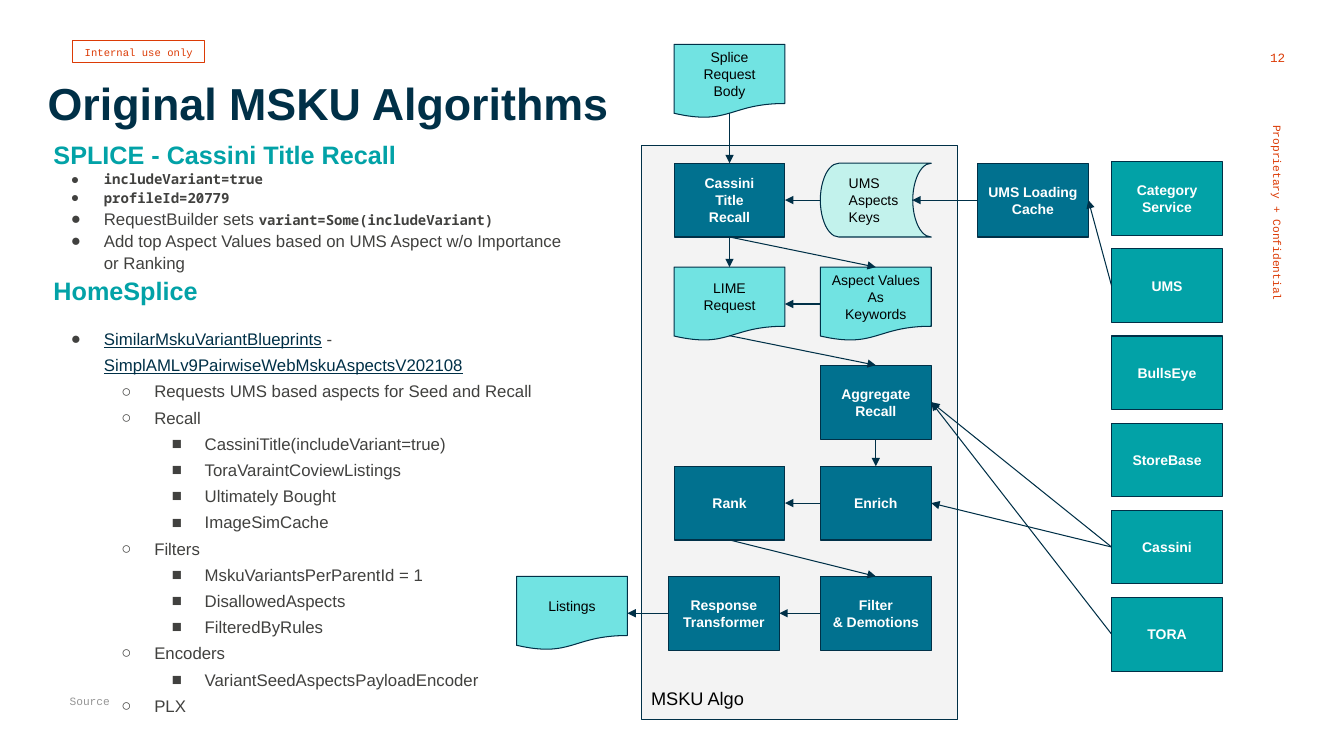
from dataclasses import dataclass

from lxml.etree import SubElement
from pptx import Presentation
from pptx.dml.color import RGBColor
from pptx.enum.shapes import MSO_CONNECTOR as Connector, MSO_SHAPE as Preset
from pptx.enum.text import MSO_ANCHOR as Anchor, MSO_AUTO_SIZE as AutoSize, PP_ALIGN as Align
from pptx.oxml.ns import qn
from pptx.util import Pt


@dataclass(frozen=True)
class Theme:
    navy: str = "003047"
    blue: str = "01718F"
    teal: str = "02A2A7"
    aqua: str = "71E3E2"
    mint: str = "C2F2EC"
    panel: str = "F3F3F3"
    white: str = "FFFFFF"
    black: str = "000000"
    grey: str = "41413F"
    pale: str = "959595"
    red: str = "DC3B06"
    sans: str = "Arial"
    typewriter: str = "Courier New"
    mono: str = "Noto Sans Mono"
    title: float = 32
    heading: float = 18
    panel_label: float = 13
    body: float = 12
    small: float = 10
    number: float = 9
    footer: float = 8
    badge: float = 7.5
    line: float = 0.75


THEME = Theme()


@dataclass(frozen=True)
class Style:
    size: float
    color: str
    name: str = THEME.sans
    bold: bool = False
    underline: bool = False


HEADING = Style(THEME.heading, THEME.teal, bold=True)
BODY = Style(THEME.body, THEME.grey)
LINK = Style(THEME.body, THEME.navy, underline=True)
CODE = Style(THEME.small, THEME.grey, THEME.mono, bold=True)
DARK_BOX = Style(THEME.small, THEME.white, bold=True)
LIGHT_BOX = Style(THEME.small, THEME.black)

BOX_WIDTH, BOX_HEIGHT = 79.2, 52.7
TOP, LEFT, BOTTOM, RIGHT = range(4)
BULLETS = "●○■"

# level (None for a heading), line spacing, space before, spans
OUTLINE = [
    (None, 1.1, 0, [("SPLICE - Cassini Title Recall", HEADING)]),
    (0, 1.1, 0, [("includeVariant=true", CODE)]),
    (0, 1.1, 0, [("profileId=20779", CODE)]),
    (0, 1.1, 0, [("RequestBuilder sets ", BODY), ("variant=Some(includeVariant)", CODE)]),
    (0, 1.1, 0, [("Add top Aspect Values based on UMS Aspect w/o Importance or Ranking", BODY)]),
    (None, 1.1, 0, [("HomeSplice", HEADING)]),
    (0, 1.3, 12, [("SimilarMskuVariantBlueprints", LINK), (" - ", BODY),
                  ("SimplAMLv9PairwiseWebMskuAspectsV202108", LINK)]),
] + [(level, 1.3, 0, [(words, BODY)]) for level, words in [
    (1, "Requests UMS based aspects for Seed and Recall"),
    (1, "Recall"),
    (2, "CassiniTitle(includeVariant=true)"),
    (2, "ToraVaraintCoviewListings"),
    (2, "Ultimately Bought"),
    (2, "ImageSimCache"),
    (1, "Filters"),
    (2, "MskuVariantsPerParentId = 1"),
    (2, "DisallowedAspects"),
    (2, "FilteredByRules"),
    (1, "Encoders"),
    (2, "VariantSeedAspectsPayloadEncoder"),
    (1, "PLX"),
]]

# name: left, top, lines
STEPS = {
    "recall": (481.5, 116.6, ["Cassini", "Title", "Recall"]),
    "cache": (698.2, 116.6, ["UMS Loading", "Cache"]),
    "aggregate": (586, 260.9, ["Aggregate", "Recall"]),
    "rank": (481.5, 333, ["Rank"]),
    "enrich": (586, 333, ["Enrich"]),
    "response": (477.5, 411.7, ["Response", "Transformer"]),
    "filter": (586, 411.7, ["Filter", "& Demotions"]),
}
DOCUMENTS = {
    "body": (481.5, 31.7, ["Splice", "Request", "Body"]),
    "lime": (481.5, 190.8, ["LIME", "Request"]),
    "keywords": (586, 190.8, ["Aspect Values", "As", "Keywords"]),
    "listings": (369, 411.7, ["Listings"]),
}
SERVICES = ["Category\nService", "UMS", "BullsEye", "StoreBase", "Cassini", "TORA"]
ARROWS = [
    ("body", BOTTOM, "recall", TOP), ("cache", LEFT, "keys", RIGHT),
    ("keys", LEFT, "recall", RIGHT), ("recall", BOTTOM, "lime", TOP),
    ("recall", BOTTOM, "keywords", TOP), ("keywords", LEFT, "lime", RIGHT),
    ("lime", BOTTOM, "aggregate", TOP), ("aggregate", BOTTOM, "enrich", TOP),
    ("enrich", LEFT, "rank", RIGHT), ("rank", BOTTOM, "filter", TOP),
    ("filter", LEFT, "response", RIGHT), ("response", LEFT, "listings", RIGHT),
    ("UMS", LEFT, "cache", RIGHT), ("Cassini", LEFT, "aggregate", RIGHT),
    ("Cassini", LEFT, "enrich", RIGHT), ("TORA", LEFT, "aggregate", RIGHT),
]


def set_font(font, style):
    font.name, font.size = style.name, Pt(style.size)
    font.bold, font.underline = style.bold, style.underline
    font.color.rgb = RGBColor.from_string(style.color)


def set_frame(frame, anchor, insets):
    frame.word_wrap, frame.auto_size, frame.vertical_anchor = True, AutoSize.NONE, anchor
    (frame.margin_left, frame.margin_top,
     frame.margin_right, frame.margin_bottom) = map(Pt, insets)


def write_lines(frame, lines, style, align=Align.LEFT):
    for index, words in enumerate(lines):
        para = frame.add_paragraph() if index else frame.paragraphs[0]
        para.text, para.alignment = words, align
        set_font(para.font, style)


def add_text(page, place, words, style, anchor=Anchor.TOP, insets=(0, 0, 0, 0)):
    box = page.shapes.add_textbox(*map(Pt, place))
    set_frame(box.text_frame, anchor, insets)
    write_lines(box.text_frame, [words], style)
    return box


def add_box(page, preset, place, fill, lines, style, align=Align.CENTER,
            anchor=Anchor.MIDDLE, border=THEME.navy):
    box = page.shapes.add_shape(preset, *map(Pt, place))
    box.shadow.inherit = False
    if fill:
        box.fill.solid()
        box.fill.fore_color.rgb = RGBColor.from_string(fill)
    else:
        box.fill.background()
    box.line.color.rgb = RGBColor.from_string(border)
    box.line.width = Pt(THEME.line)
    set_frame(box.text_frame, anchor, (7.2,) * 4)
    write_lines(box.text_frame, lines, style, align)
    return box


def add_bullet(para, level):
    properties = para._p.get_or_add_pPr()
    properties.set("marL", str(Pt(36 * (level + 1))))
    properties.set("indent", str(Pt(-23.5)))
    color = SubElement(properties, qn("a:buClr"))
    SubElement(color, qn("a:srgbClr"), val=THEME.grey)
    SubElement(properties, qn("a:buFont"), typeface=THEME.sans)
    SubElement(properties, qn("a:buChar"), char=BULLETS[level])


def add_outline(page, place):
    box = page.shapes.add_textbox(*map(Pt, place))
    frame = box.text_frame
    set_frame(frame, Anchor.TOP, (0, 0, 0, 0))
    for index, (level, spacing, before, spans) in enumerate(OUTLINE):
        para = frame.add_paragraph() if index else frame.paragraphs[0]
        para.line_spacing, para.space_before = spacing, Pt(before)
        if level is not None:
            para.level = level
            add_bullet(para, level)
        for words, style in spans:
            span = para.add_run()
            span.text = words
            set_font(span.font if len(spans) > 1 else para.font, style)


def side_point(box, side):
    """Give the point where an arrow meets the visible outline."""
    bottom = 0.93 if box.auto_shape_type == Preset.FLOWCHART_DOCUMENT else 1
    right = 0.83 if box.auto_shape_type == Preset.FLOWCHART_STORED_DATA else 1
    across, down = [(0.5, 0), (0, 0.5), (0.5, bottom), (right, 0.5)][side]
    return int(box.left + across * box.width), int(box.top + down * box.height)


def add_arrow(page, start, start_side, end, end_side):
    arrow = page.shapes.add_connector(Connector.STRAIGHT, 0, 0, 0, 0)
    arrow.begin_connect(start, start_side)
    arrow.end_connect(end, end_side)
    arrow.begin_x, arrow.begin_y = side_point(start, start_side)
    arrow.end_x, arrow.end_y = side_point(end, end_side)
    arrow.line.color.rgb = RGBColor.from_string(THEME.navy)
    arrow.line.width = Pt(THEME.line)
    SubElement(arrow.line._get_or_add_ln(), qn("a:tailEnd"), type="triangle")
    SubElement(arrow._element.spPr, qn("a:effectLst"))


def add_flow(page):
    size = (BOX_WIDTH, BOX_HEIGHT)
    boxes = {"keys": add_box(page, Preset.FLOWCHART_STORED_DATA, (586, 116.6, *size), THEME.mint,
                             ["UMS", "Aspects", "Keys"], LIGHT_BOX, Align.LEFT)}
    for name, (left, top, lines) in STEPS.items():
        boxes[name] = add_box(page, Preset.FLOWCHART_PROCESS, (left, top, *size),
                              THEME.blue, lines, DARK_BOX)
    for name, (left, top, lines) in DOCUMENTS.items():
        boxes[name] = add_box(page, Preset.FLOWCHART_DOCUMENT, (left, top, *size),
                              THEME.aqua, lines, LIGHT_BOX)
    for row, name in enumerate(SERVICES):
        boxes[name] = add_box(page, Preset.FLOWCHART_PROCESS, (794, 115.6 + 62.2 * row, *size),
                              THEME.teal, name.split("\n"), DARK_BOX)
    for start, start_side, end, end_side in ARROWS:
        add_arrow(page, boxes[start], start_side, boxes[end], end_side)


def main():
    deck = Presentation()
    deck.slide_width, deck.slide_height = Pt(960), Pt(540)
    page = deck.slides.add_slide(deck.slide_layouts[5])
    title = page.shapes.title
    title.left, title.top, title.width, title.height = map(Pt, (34, 19.5, 407, 107))
    set_frame(title.text_frame, Anchor.MIDDLE, (0, 0, 0, 0))
    write_lines(title.text_frame, ["Original MSKU Algorithms"],
                Style(THEME.title, THEME.navy, bold=True))

    add_box(page, Preset.RECTANGLE, (51.8, 29.2, 94.6, 15.8), None, ["Internal use only"],
            Style(THEME.badge, THEME.red, THEME.typewriter), border=THEME.red)
    side_note = add_text(page, (811.4, 185.8, 202.3, 9.4), "Proprietary + Confidential",
                         Style(THEME.footer, THEME.red, THEME.typewriter), Anchor.BOTTOM)
    side_note.rotation = 90
    add_text(page, (907.2, 31.7, 44.6, 15.1), "12",
             Style(THEME.number, THEME.red, THEME.typewriter), Anchor.BOTTOM, (0, 3.6, 2.9, 0))
    add_text(page, (49.7, 496.1, 185.8, 22.3), "Source",
             Style(THEME.footer, THEME.pale, THEME.typewriter))
    add_outline(page, (38.2, 97.2, 370, 410.4))
    add_box(page, Preset.RECTANGLE, (458, 103.8, 226, 410.2), THEME.panel, ["MSKU Algo"],
            Style(THEME.panel_label, THEME.black), Align.LEFT, Anchor.BOTTOM)
    add_flow(page)
    deck.save("out.pptx")


if __name__ == "__main__":
    main()
